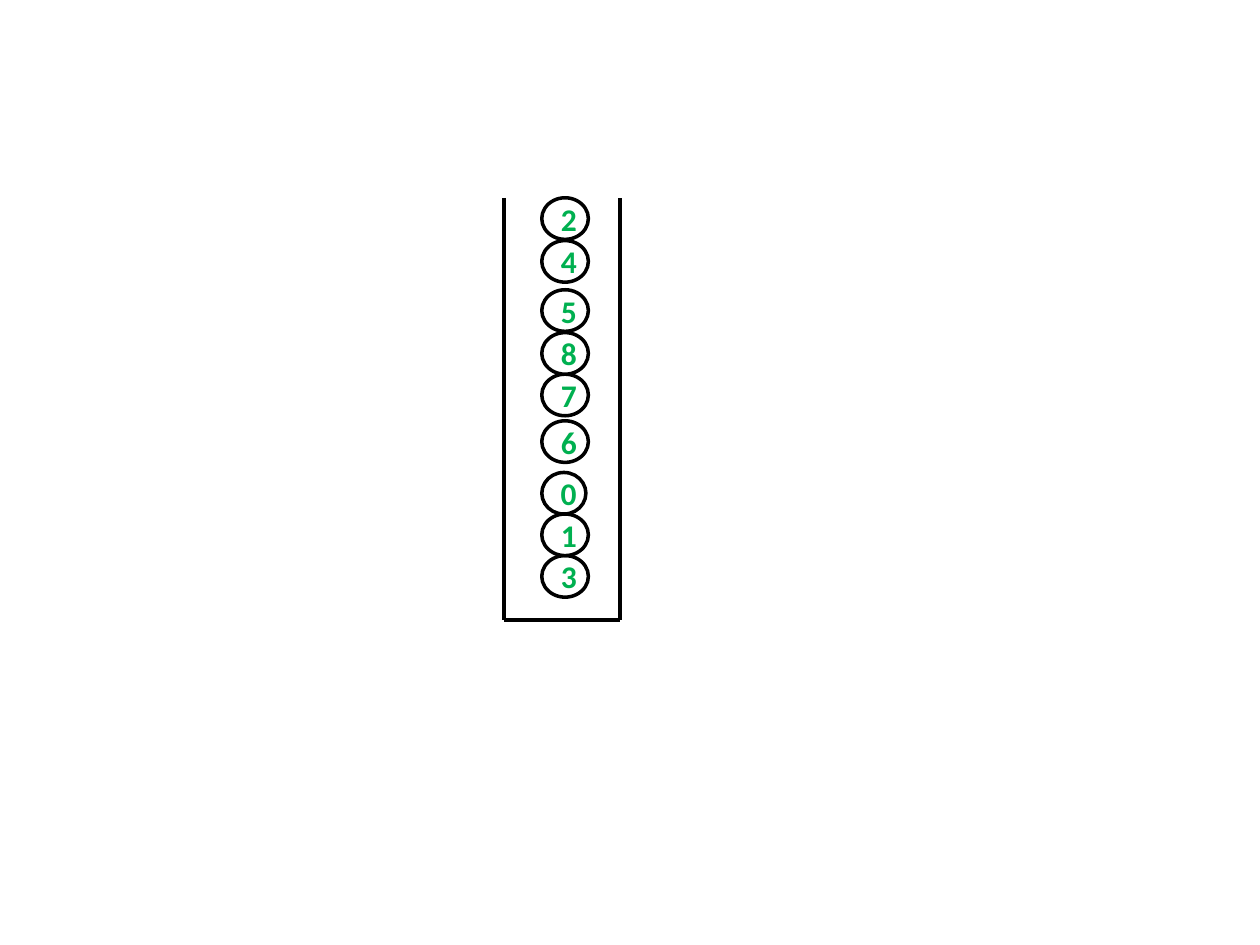
import pptx
import pptx.util
import pptx.dml.color
import pptx.enum.shapes
import pptx.enum.text
import pptx.oxml.ns
import lxml.etree

Inches = pptx.util.Inches
Pt = pptx.util.Pt
RGBColor = pptx.dml.color.RGBColor

BLACK = RGBColor(0x00, 0x00, 0x00)
WHITE = RGBColor(0xFF, 0xFF, 0xFF)
GREEN = RGBColor(0x00, 0xB0, 0x50)

deck = pptx.Presentation()
deck.slide_width = Inches(10)
deck.slide_height = Inches(7.5)
slide = deck.slides.add_slide(deck.slide_layouts[6])

# Numbered balls, from the bottom of the stack up: digit, top, width
balls = [
    ("3", 4.41, 0.37),
    ("1", 4.08, 0.37),
    ("0", 3.75, 0.35),
    ("6", 3.34, 0.37),
    ("7", 2.97, 0.37),
    ("8", 2.64, 0.37),
    ("5", 2.30, 0.37),
    ("4", 1.91, 0.37),
    ("2", 1.57, 0.37),
]
for digit, top, width in balls:
    ball = slide.shapes.add_shape(
        pptx.enum.shapes.MSO_SHAPE.FLOWCHART_CONNECTOR,
        Inches(4.3), Inches(top), Inches(width), Inches(0.33))
    ball.shadow.inherit = False
    ball.fill.solid()
    ball.fill.fore_color.rgb = WHITE
    ball.line.color.rgb = BLACK
    ball.line.width = Pt(2)
    ball.text_frame.vertical_anchor = pptx.enum.text.MSO_ANCHOR.MIDDLE
    para = ball.text_frame.paragraphs[0]
    para.alignment = pptx.enum.text.PP_ALIGN.CENTER
    run = para.add_run()
    run.text = digit
    run.font.name = "Calibri"
    run.font.size = Pt(18)
    run.font.bold = True
    run.font.color.rgb = GREEN

# Open-topped tube: left wall, floor, right wall
left, right, top, floor = 4, 4.92, 1.57, 4.92
corners = [(left, top), (left, floor), (right, floor), (right, top)]
for start, end in zip(corners, corners[1:]):
    wall = slide.shapes.add_connector(
        pptx.enum.shapes.MSO_CONNECTOR.STRAIGHT,
        *[Inches(value) for value in start + end])
    wall.line.color.rgb = BLACK
    wall.line.width = Pt(2.25)
    lxml.etree.SubElement(
        wall._element.spPr, pptx.oxml.ns.qn("a:effectLst"))

deck.save("out.pptx")
